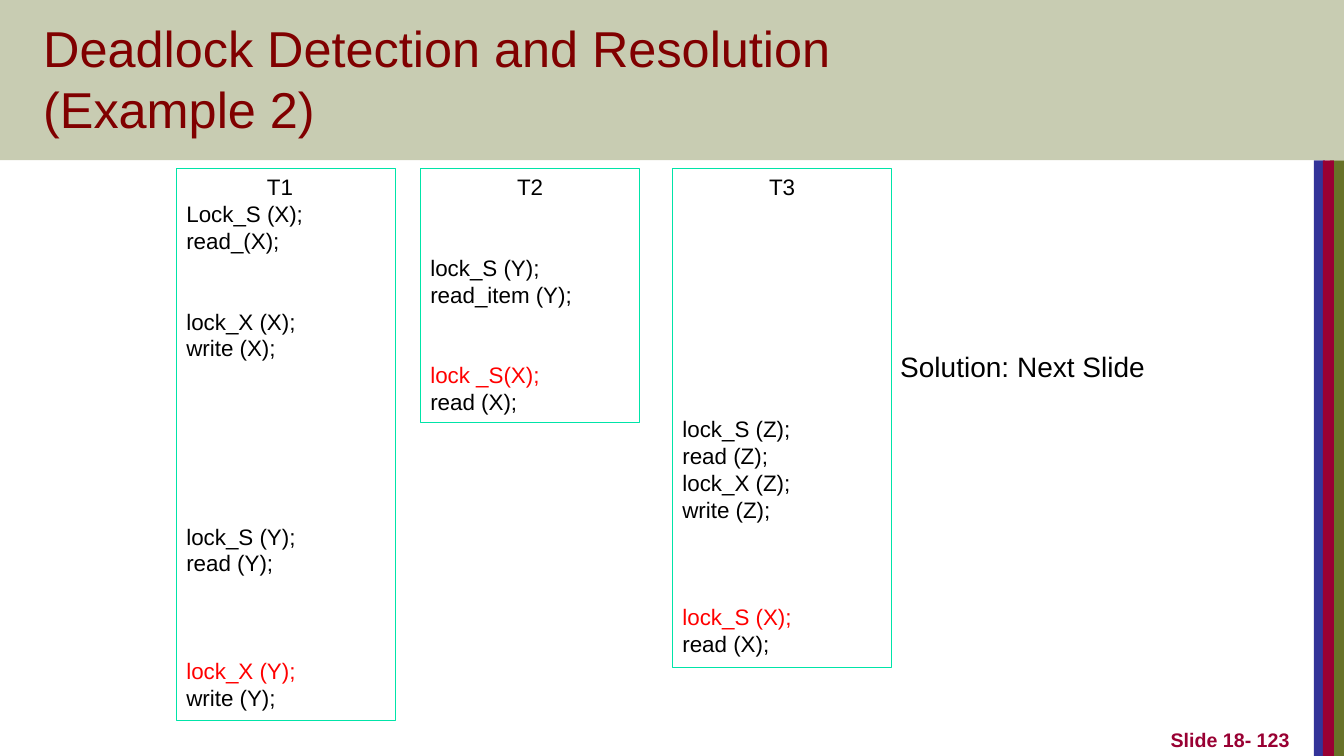
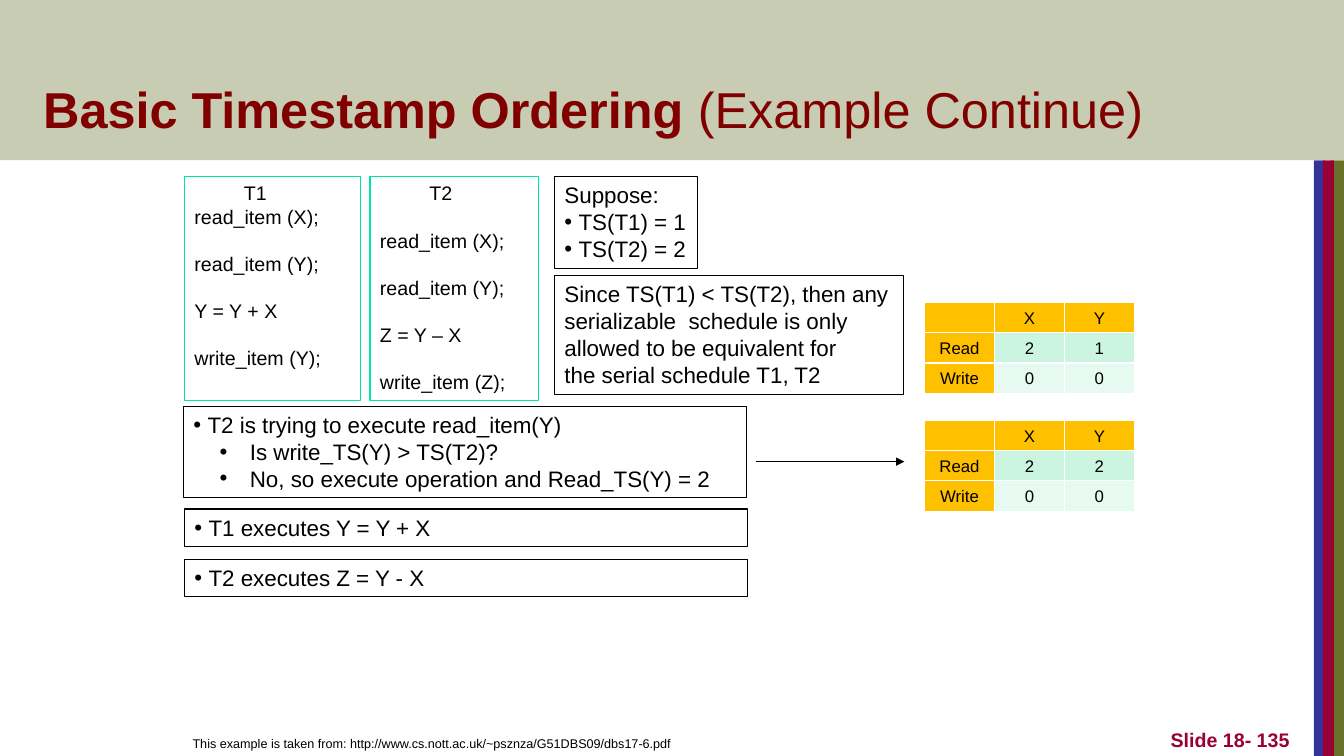
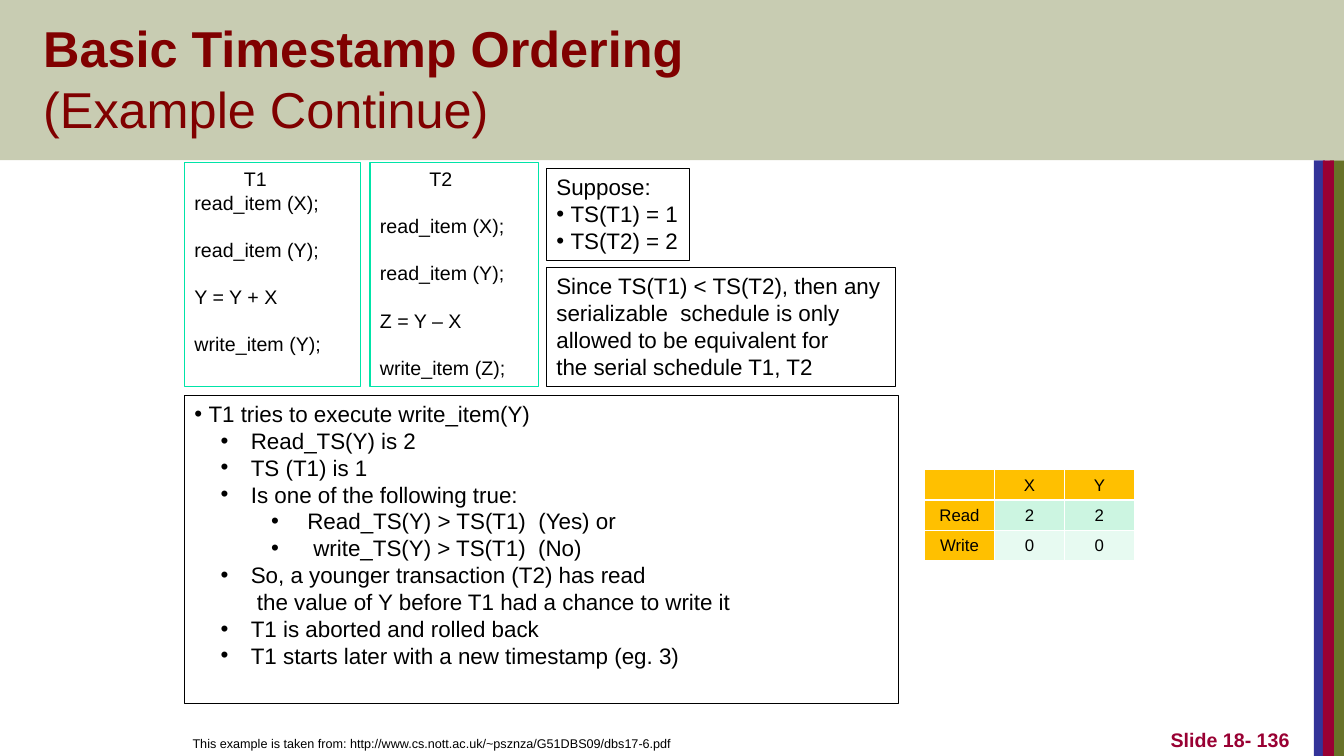
from dataclasses import dataclass
from typing import Optional

from lxml.etree import SubElement
from pptx import Presentation
from pptx.dml.color import RGBColor
from pptx.enum.shapes import MSO_CONNECTOR, MSO_SHAPE
from pptx.enum.text import MSO_ANCHOR, PP_ALIGN
from pptx.oxml.ns import qn
from pptx.util import Inches, Pt

FONT = "Arial"
LINE_HEIGHT = 1.2
COLORS = {
    "black": "000000", "white": "FFFFFF", "red": "FF0000",
    "title": "800000", "band": "C8CCB2", "olive": "677228",
    "blue": "333399", "crimson": "990033", "schedule": "00E4A8",
    "header": "FFC000", "read": "CCF5E1", "write": "E7FAF1",
}
# Text indent and hanging bullet width of each list level
LEVELS = [(0.14, 0.14), (0.56, 0.3), (1.12, 0.36)]


@dataclass
class Area:
    left: float
    top: float
    width: float
    height: float

    def lengths(self) -> tuple:
        return tuple(Inches(v) for v in (self.left, self.top, self.width, self.height))


@dataclass
class Span:
    text: str
    bold: bool = False
    new_line: bool = False


@dataclass
class Line:
    spans: list
    color: str = "black"
    gap: int = 0  # empty lines above
    indent: float = 0
    hang: float = 0  # bullet width, 0 for no bullet


@dataclass
class Schedule:
    area: Area
    name: str
    name_indent: float
    steps: list


def rgb(name: str) -> RGBColor:
    return RGBColor.from_string(COLORS[name])


def plain(text: str, color: str = "black", gap: int = 0, indent: float = 0) -> Line:
    return Line([Span(text)], color, gap, indent)


def bullet(text: str, level: int = 0, extra: float = 0) -> Line:
    indent, hang = LEVELS[level]
    return Line([Span(text)], indent=indent + extra, hang=hang + extra)


# Text
def write_line(para, line: Line, size: int, align=PP_ALIGN.LEFT) -> None:
    para.alignment = align
    para.line_spacing = Pt(size * LINE_HEIGHT)
    if line.gap:
        para.space_before = Pt(line.gap * size * LINE_HEIGHT)
    properties = para._p.get_or_add_pPr()
    properties.set("marL", str(Inches(line.indent)))
    properties.set("indent", str(-Inches(line.hang)))
    if line.hang:
        SubElement(properties, qn("a:buFont")).set("typeface", FONT)
        SubElement(properties, qn("a:buChar")).set("char", "•")
    for span in line.spans:
        if span.new_line:
            para.add_line_break()
        run = para.add_run()
        run.text = span.text
        run.font.name = FONT
        run.font.size = Pt(size)
        run.font.bold = span.bold
        run.font.color.rgb = rgb(line.color)


def add_text(page, area: Area, lines: list, size: int, outline: Optional[str] = None,
             align=PP_ALIGN.LEFT, anchor=MSO_ANCHOR.TOP, wrap: bool = True) -> None:
    if outline:
        box = page.shapes.add_shape(MSO_SHAPE.RECTANGLE, *area.lengths())
        box.shadow.inherit = False
        box.fill.background()
        box.line.color.rgb = rgb(outline)
        box.line.width = Pt(0.75)
    else:
        box = page.shapes.add_textbox(*area.lengths())
    frame = box.text_frame
    frame.word_wrap = wrap
    frame.vertical_anchor = anchor
    for index, line in enumerate(lines):
        para = frame.add_paragraph() if index else frame.paragraphs[0]
        write_line(para, line, size, align)


# Parts shared by every slide
def add_block(page, area: Area, color: str) -> None:
    block = page.shapes.add_shape(MSO_SHAPE.RECTANGLE, *area.lengths())
    block.shadow.inherit = False
    block.fill.solid()
    block.fill.fore_color.rgb = rgb(color)
    block.line.fill.background()


def add_page(deck, title: list, number: int):
    page = deck.slides.add_slide(deck.slide_layouts[6])
    for left, width, color in ((13.19, 0.14, "olive"), (13.03, 0.11, "blue"),
                               (13.12, 0.11, "crimson")):
        add_block(page, Area(left, 1.59, width, 5.91), color)
    add_block(page, Area(0, 0, 13.33, 1.59), "band")
    add_text(page, Area(10.11, 7, 2.78, 0.5),
             [Line([Span(f"Slide 18- {number}", bold=True)], "crimson")], 14,
             align=PP_ALIGN.RIGHT, anchor=MSO_ANCHOR.BOTTOM)
    add_text(page, Area(0.33, 0.33, 11.37, 1.09), [Line(title, "title")], 36,
             anchor=MSO_ANCHOR.BOTTOM)
    return page


def add_schedule(page, schedule: Schedule, size: int) -> None:
    name = plain(schedule.name, indent=schedule.name_indent)
    add_text(page, schedule.area, [name, *schedule.steps], size, "schedule")


# Parts shared by the timestamp slides
def add_example(page, schedule_top: float, note_left: float, note_top: float) -> None:
    first = ["read_item (X);", "read_item (Y);", "Y = Y + X", "write_item (Y);"]
    second = ["read_item (X);", "read_item (Y);", "Z = Y – X", "write_item (Z);"]
    first_steps = [plain(step, gap=min(i, 1)) for i, step in enumerate(first)]
    second_steps = [plain(step, gap=1) for step in second]
    for name, left, width, steps in (("T1", 1.83, 1.75, first_steps),
                                     ("T2", 3.67, 1.67, second_steps)):
        area = Area(left, schedule_top, width, 2.22)
        add_schedule(page, Schedule(area, name, 0.49, steps), 14)
    add_text(page, Area(note_left, note_top, 1.42, 0.91),
             [plain("Suppose:"), bullet("TS(T1) = 1"), bullet("TS(T2) = 2")],
             16, "black", wrap=False)
    order = ["Since TS(T1) < TS(T2), then any", "serializable  schedule is only",
             "allowed to be equivalent for", "the serial schedule T1, T2"]
    add_text(page, Area(note_left, note_top + 0.98, 3.46, 1.18),
             [plain(text) for text in order], 16, "black", wrap=False)
    source = "This example is taken from: http://www.cs.nott.ac.uk/~psznza/G51DBS09/dbs17-6.pdf"
    add_text(page, Area(0.92, 7, 5.83, 0.5), [plain(source)], 9,
             align=PP_ALIGN.RIGHT, anchor=MSO_ANCHOR.BOTTOM)


def style_cell(cell, color: str) -> None:
    properties = cell._tc.get_or_add_tcPr()
    for side in ("a:lnL", "a:lnR", "a:lnT", "a:lnB"):
        border = SubElement(properties, qn(side), w=str(Pt(1)))
        fill = SubElement(border, qn("a:solidFill"))
        SubElement(fill, qn("a:srgbClr"), val=COLORS["white"])
    cell.fill.solid()
    cell.fill.fore_color.rgb = rgb(color)


def add_timestamps(page, top: float, read: list, write: list) -> None:
    rows = [["", "X", "Y"], ["Read", *read], ["Write", *write]]
    table = page.shapes.add_table(3, 3, *Area(9.17, top, 2.08, 0.9).lengths()).table
    table.horz_banding = False
    for row, values in enumerate(rows):
        table.rows[row].height = Inches(0.3)
        for column, value in enumerate(values):
            cell = table.cell(row, column)
            style_cell(cell, "header" if column == 0 else ("header", "read", "write")[row])
            para = cell.text_frame.paragraphs[0]
            if value:
                write_line(para, plain(value), 12, PP_ALIGN.CENTER)
            else:
                SubElement(para._p, qn("a:endParaRPr"), sz="1200")


def add_arrow(page, start: float, end: float, height: float) -> None:
    arrow = page.shapes.add_connector(MSO_CONNECTOR.STRAIGHT, Inches(start), Inches(height),
                                      Inches(end), Inches(height))
    arrow.line.color.rgb = rgb("black")
    arrow.line.width = Pt(0.75)
    SubElement(arrow.line._get_or_add_ln(), qn("a:tailEnd"), type="triangle", w="med", len="med")
    SubElement(arrow._element.spPr, qn("a:effectLst"))


# Slides
def build_deadlock(deck) -> None:
    page = add_page(deck, [Span("Deadlock Detection and Resolution"),
                           Span("(Example 2)", new_line=True)], 123)
    schedules = [
        Schedule(Area(1.75, 1.67, 2.17, 5.48), "T1", 0.8, [
            plain("Lock_S (X);"), plain("read_(X);"),
            plain("lock_X (X);", gap=2), plain("write (X);"),
            plain("lock_S (Y);", gap=6), plain("read (Y);"),
            plain("lock_X (Y);", "red", 3), plain("write (Y);")]),
        Schedule(Area(4.17, 1.67, 2.17, 2.52), "T2", 0.86, [
            plain("lock_S (Y);", gap=2), plain("read_item (Y);"),
            plain("lock _S(X);", "red", 2), plain("read (X);")]),
        Schedule(Area(6.67, 1.67, 2.17, 4.95), "T3", 0.86, [
            plain("lock_S (Z);", gap=8), plain("read (Z);"),
            plain("lock_X (Z);"), plain("write (Z);"),
            plain("lock_S (X);", "red", 3), plain("read (X);")]),
    ]
    for schedule in schedules:
        add_schedule(page, schedule, 16)
    add_text(page, Area(8.83, 3.42, 3.42, 0.44), [plain("Solution: Next Slide")], 20)


def build_read_step(deck) -> None:
    page = add_page(deck, [Span("Basic Timestamp Ordering", bold=True),
                           Span(" (Example Continue)")], 135)
    add_example(page, 1.75, 5.5, 1.75)
    add_text(page, Area(1.82, 4.03, 5.58, 0.91), [
        bullet("T2 is trying to execute read_item(Y)"),
        bullet("Is write_TS(Y) > TS(T2)?", 1),
        bullet("No, so execute operation and Read_TS(Y) = 2", 1)], 16, "black")
    for top, text in ((5.05, "T1 executes Y = Y + X"), (5.55, "T2 executes Z = Y - X")):
        add_text(page, Area(1.83, top, 5.58, 0.37), [bullet(text)], 16, "black")
    add_timestamps(page, 3, ["2", "1"], ["0", "0"])
    add_timestamps(page, 4.17, ["2", "2"], ["0", "0"])
    add_arrow(page, 7.5, 8.97, 4.58)


def build_write_step(deck) -> None:
    page = add_page(deck, [Span("Basic Timestamp Ordering", bold=True),
                           Span("(Example Continue)", new_line=True)], 136)
    add_example(page, 1.61, 5.42, 1.67)
    add_text(page, Area(1.83, 3.92, 7.08, 3.06), [
        bullet("T1 tries to execute write_item(Y)"),
        bullet("Read_TS(Y) is 2", 1),
        bullet("TS (T1) is 1", 1),
        bullet("Is one of the following true:", 1),
        bullet("Read_TS(Y) > TS(T1)  (Yes) or", 2),
        bullet("write_TS(Y) > TS(T1)  (No)", 2, extra=0.06),
        bullet("So, a younger transaction (T2) has read", 1),
        plain("the value of Y before T1 had a chance to write it", indent=0.62),
        bullet("T1 is aborted and rolled back", 1),
        bullet("T1 starts later with a new timestamp (eg. 3)", 1)], 16, "black")
    add_timestamps(page, 4.66, ["2", "2"], ["0", "0"])


def main() -> None:
    deck = Presentation()
    deck.slide_width = Inches(13.33)
    deck.slide_height = Inches(7.5)
    build_deadlock(deck)
    build_read_step(deck)
    build_write_step(deck)
    deck.save("out.pptx")


if __name__ == "__main__":
    main()
